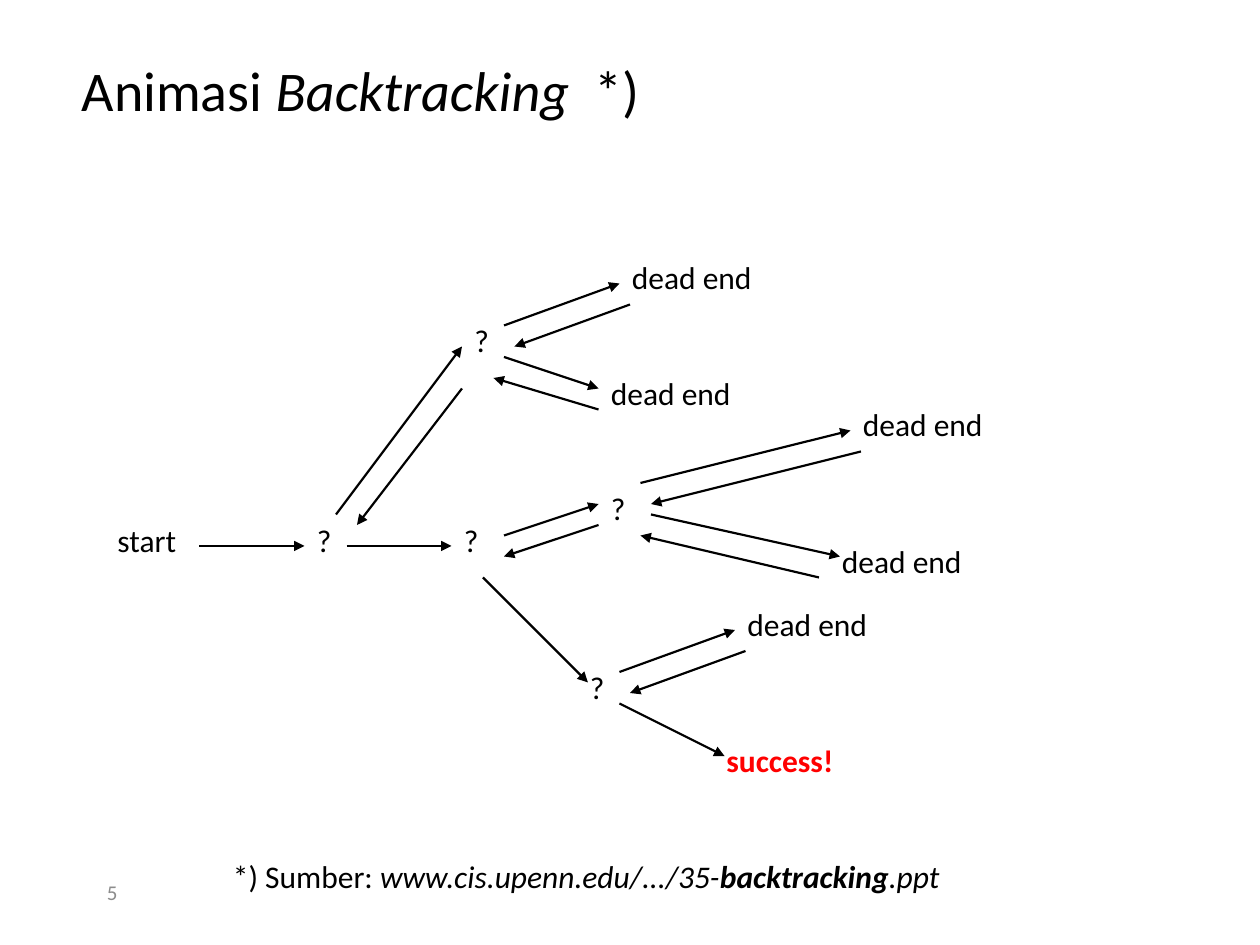
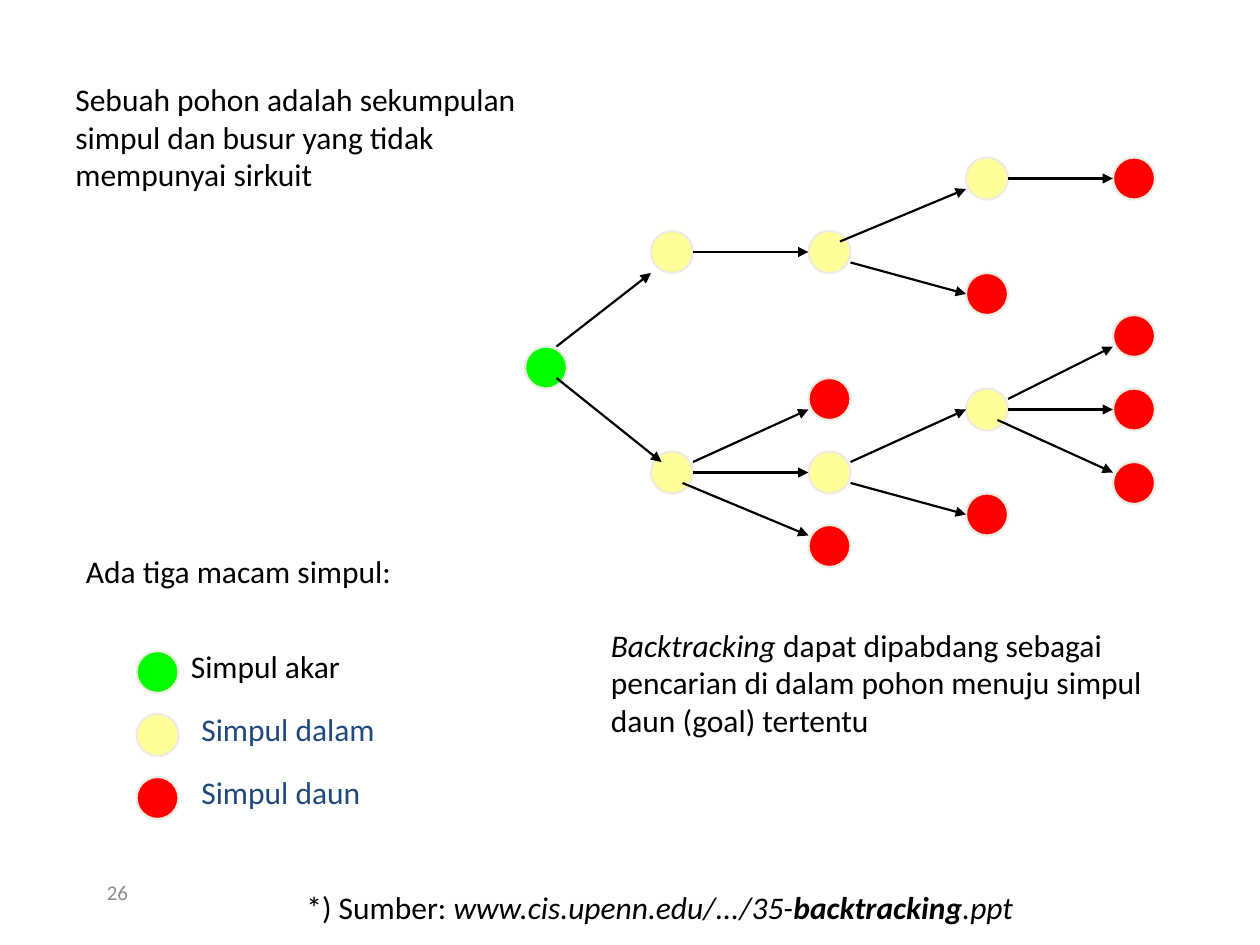
"""Build two slides on backtracking: the search animation and its tree of nodes."""
from dataclasses import dataclass

from lxml.etree import SubElement
from pptx import Presentation
from pptx.dml.color import RGBColor
from pptx.enum.shapes import MSO_CONNECTOR, MSO_SHAPE
from pptx.enum.text import MSO_ANCHOR
from pptx.oxml.ns import qn
from pptx.util import Inches, Pt


@dataclass(frozen=True)
class Theme:
    font: str = "Calibri"
    title_size: int = 32
    body_size: int = 18
    number_size: int = 12
    line_width: float = 1.25
    ink: RGBColor = RGBColor(0x00, 0x00, 0x00)
    muted: RGBColor = RGBColor(0x8C, 0x8C, 0x8C)
    navy: RGBColor = RGBColor(0x1F, 0x49, 0x7D)
    root: RGBColor = RGBColor(0x00, 0xFF, 0x00)
    inner: RGBColor = RGBColor(0xFF, 0xFF, 0x99)
    leaf: RGBColor = RGBColor(0xFF, 0x00, 0x00)
    node_edge: RGBColor = RGBColor(0xEE, 0xEC, 0xE1)


THEME = Theme()
CELLS_PER_INCH = 12
NODE_SIZE = 4


def add_text(slide, text, *, at, size=THEME.body_size, color=THEME.ink, anchor=MSO_ANCHOR.TOP):
    """Place text, either a string or (text, style letters) runs, on the grid."""
    box = slide.shapes.add_textbox(*[Inches(cell / CELLS_PER_INCH) for cell in at])
    frame = box.text_frame
    frame.word_wrap = True
    frame.vertical_anchor = anchor
    for words, style in [(text, "")] if isinstance(text, str) else text:
        run = frame.paragraphs[0].add_run()
        run.text = words
        run.font.name = THEME.font
        run.font.size = Pt(size)
        run.font.color.rgb = color
        run.font.bold = "b" in style
        run.font.italic = "i" in style


def add_arrow(slide, *ends):
    """Draw an arrow between two grid points."""
    arrow = slide.shapes.add_connector(
        MSO_CONNECTOR.STRAIGHT, *[Inches(cell / CELLS_PER_INCH) for cell in ends]
    )
    arrow.line.color.rgb = THEME.ink
    arrow.line.width = Pt(THEME.line_width)
    outline = arrow.line._get_or_add_ln()
    SubElement(outline, qn("a:tailEnd"), type="triangle")
    SubElement(arrow._element.spPr, qn("a:effectLst"))


deck = Presentation()
deck.slide_width = Inches(10)
deck.slide_height = Inches(7.5)
blank = deck.slide_layouts[6]
search = deck.slides.add_slide(blank)
tree = deck.slides.add_slide(blank)

source = [
    ("*) Sumber: ", ""),
    ("www.cis.upenn.edu/.../35-", "i"),
    ("backtracking", "bi"),
    (".ppt", "i"),
]
for slide, number, source_left, source_top in [(search, "5", 21, 81), (tree, "26", 28, 84)]:
    add_text(slide, number, at=(9, 82, 25, 6), size=THEME.number_size,
             color=THEME.muted, anchor=MSO_ANCHOR.MIDDLE)
    add_text(slide, source, at=(source_left, source_top, 92, 6))

add_text(search, [("Animasi ", ""), ("Backtracking ", "i"), (" *)", "")],
         at=(6.6, 1, 108, 15), size=THEME.title_size, anchor=MSO_ANCHOR.MIDDLE)

add_text(search, "start", at=(10, 49, 10, 6))
for left, top in [(29, 49), (44, 30), (43, 49), (57, 46), (55, 63)]:
    add_text(search, "?", at=(left, top, 6, 6))
for left, top in [(59, 24), (57, 35), (81, 38), (79, 51), (70, 57)]:
    add_text(search, "dead end", at=(left, top, 21, 6))
add_text(search, [("success!", "b")], at=(68, 70, 21, 6), color=THEME.leaf)

steps_forward = [
    (19, 52, 29, 52), (32, 49, 44, 33), (33, 52, 43, 52),
    (48, 31, 59, 27), (48, 34, 57, 37), (48, 51, 57, 48),
    (61, 46, 81, 41), (62, 49, 80, 53), (46, 55, 56, 65),
    (59, 64, 70, 60), (59, 67, 69, 72),
]
steps_back = [
    (60, 29, 49, 33), (57, 39, 47, 36), (44, 37, 34, 50),
    (82, 43, 62, 48), (78, 55, 61, 51), (57, 50, 48, 53),
    (71, 62, 60, 66),
]
for step in steps_forward + steps_back:
    add_arrow(search, *step)

add_text(tree, "Sebuah pohon adalah sekumpulan simpul dan busur yang tidak mempunyai sirkuit",
         at=(6, 7, 50, 28))
add_text(tree, "Ada tiga macam simpul:", at=(7, 52, 42, 6))
add_text(
    tree,
    [("Backtracking", "i"),
     (" dapat dipabdang sebagai pencarian di dalam pohon menuju simpul daun (goal) tertentu", "")],
    at=(57, 59, 53, 20),
)

legend = [
    ("Simpul akar", 17, THEME.ink),
    ("Simpul dalam", 18, THEME.navy),
    ("Simpul daun", 18, THEME.navy),
]
for row, (meaning, left, color) in enumerate(legend):
    add_text(tree, meaning, at=(left, 61 + 6 * row, 31, 6), color=color)

nodes = {
    THEME.root: [(13, 62), (50, 33)],
    THEME.inner: [(13, 68), (62, 22), (77, 22), (92, 15), (62, 43), (77, 43), (92, 37)],
    THEME.leaf: [(13, 74), (77, 36), (77, 50), (92, 26), (92, 47),
                 (106, 15), (106, 30), (106, 37), (106, 44)],
}
for fill, places in nodes.items():
    for place in places:
        node = tree.shapes.add_shape(
            MSO_SHAPE.OVAL,
            *[Inches(cell / CELLS_PER_INCH) for cell in (*place, NODE_SIZE, NODE_SIZE)],
        )
        node.shadow.inherit = False
        node.fill.solid()
        node.fill.fore_color.rgb = fill
        node.line.color.rgb = THEME.node_edge
        node.line.width = Pt(THEME.line_width)

branches = [
    (53, 36, 63, 44), (53, 33, 62, 26), (66, 24, 77, 24), (80, 23, 92, 18),
    (81, 25, 92, 28), (96, 17, 106, 17), (66, 44, 77, 39), (66, 45, 77, 45),
    (65, 46, 77, 51), (81, 44, 92, 39), (81, 46, 92, 49), (96, 38, 106, 33),
    (96, 39, 106, 39), (95, 40, 106, 45),
]
for branch in branches:
    add_arrow(tree, *branch)

deck.save("out.pptx")
